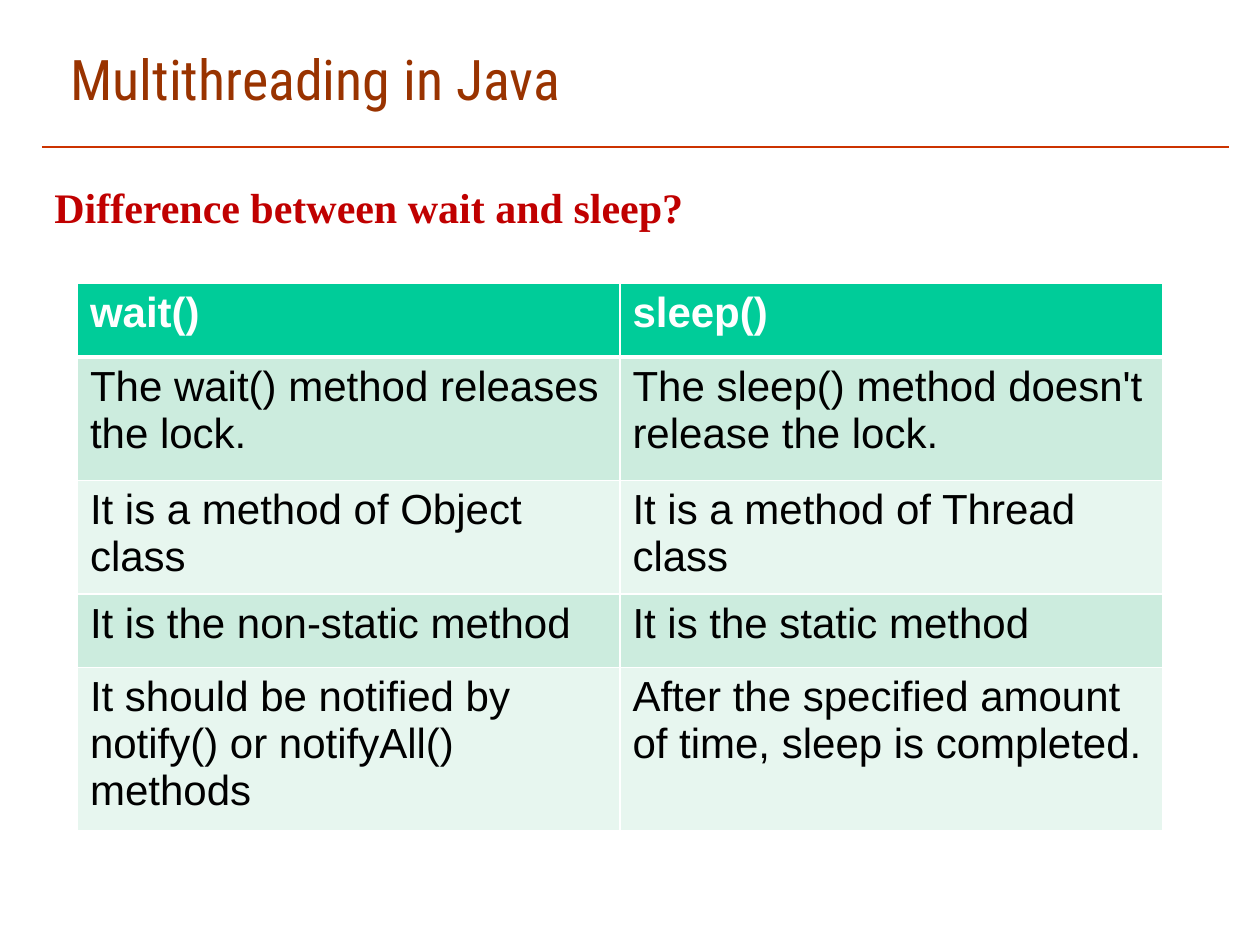
from lxml.etree import SubElement
from pptx import Presentation
from pptx.dml.color import RGBColor
from pptx.enum.shapes import MSO_CONNECTOR
from pptx.enum.text import MSO_ANCHOR, MSO_AUTO_SIZE, PP_ALIGN
from pptx.oxml import parse_xml
from pptx.oxml.ns import nsdecls, qn
from pptx.util import Pt

COLORS = {
    "title": "993300", "rule": "CC3300", "topic": "C00000",
    "head": "00CC99", "odd": "CCECDE", "even": "E7F6EF",
    "white": "FFFFFF", "black": "000000", "shade": "808080",
}
ROWS = [
    ("wait()", "sleep()"),
    ("The wait() method releases the lock.",
     "The sleep() method doesn't release the lock."),
    ("It is a method of Object class", "It is a method of Thread class"),
    ("It is the non-static method", "It is the static method"),
    ("It should be notified by notify() or notifyAll() methods",
     "After the specified amount of time, sleep is completed."),
]
HEIGHTS = [42, 70.5, 42, 42, 70.5]


def write(frame, text, size, face, color, bold=False):
    """Put one left-aligned run into the frame and return it."""
    par = frame.paragraphs[0]
    par.alignment = PP_ALIGN.LEFT
    par.space_before = Pt(0)
    run = par.add_run()
    run.text = text
    font = run.font
    font.size, font.name, font.bold = Pt(size), face, bold
    font.color.rgb = RGBColor.from_string(COLORS[color])
    return run


def edge(cell, side, width):
    """Draw a white border on one side of a cell; call before the fill."""
    line = SubElement(cell._tc.get_or_add_tcPr(), qn(f"a:ln{side}"), w=str(Pt(width)))
    fill = SubElement(line, qn("a:solidFill"))
    SubElement(fill, qn("a:srgbClr"), val=COLORS["white"])


deck = Presentation()
deck.slide_width, deck.slide_height = Pt(720), Pt(540)
slide = deck.slides.add_slide(deck.slide_layouts[5])

# Title with shadowed letters
title = slide.shapes.title
title.left, title.top, title.width, title.height = Pt(33), Pt(21.6), Pt(432), Pt(46)
frame = title.text_frame
frame.word_wrap = True
frame.auto_size = MSO_AUTO_SIZE.SHAPE_TO_FIT_TEXT
frame.vertical_anchor = MSO_ANCHOR.TOP
run = write(frame, "Multithreading in Java", 32, "Roboto Condensed", "title")
shade = parse_xml(
    f'<a:effectLst {nsdecls("a")}><a:outerShdw dist="{Pt(3)}" dir="2700000">'
    f'<a:srgbClr val="{COLORS["shade"]}"/></a:outerShdw></a:effectLst>')
run._r.rPr.find(qn("a:solidFill")).addnext(shade)

# Rule below the title
rule = slide.shapes.add_connector(
    MSO_CONNECTOR.STRAIGHT, Pt(24), Pt(84), Pt(702), Pt(84))
rule.line.width = Pt(0.75)
rule.line.color.rgb = RGBColor.from_string(COLORS["rule"])
SubElement(rule._element.spPr, qn("a:effectLst"))

# Question
topic = slide.shapes.add_textbox(Pt(24), Pt(100), Pt(670), Pt(36))
frame = topic.text_frame
frame.word_wrap = True
frame.auto_size = MSO_AUTO_SIZE.SHAPE_TO_FIT_TEXT
write(frame, "Difference between wait and sleep?", 24, "Times New Roman", "topic", True)

# Comparison table
table = slide.shapes.add_table(
    len(ROWS), 2, Pt(44.25), Pt(162), Pt(620), Pt(sum(HEIGHTS))).table
table.horz_banding = False
for r, (row, height) in enumerate(zip(ROWS, HEIGHTS)):
    table.rows[r].height = Pt(height)
    head = r == 0
    tint = "head" if head else "odd" if r % 2 else "even"
    for c, text in enumerate(row):
        cell = table.cell(r, c)
        for side in "LRTB":
            thick = (head and side == "B") or (r == 1 and side == "T")
            edge(cell, side, 3 if thick else 1)
        cell.fill.solid()
        cell.fill.fore_color.rgb = RGBColor.from_string(COLORS[tint])
        write(cell.text_frame, text, 24, "Arial", "white" if head else "black", head)

deck.save("out.pptx")
